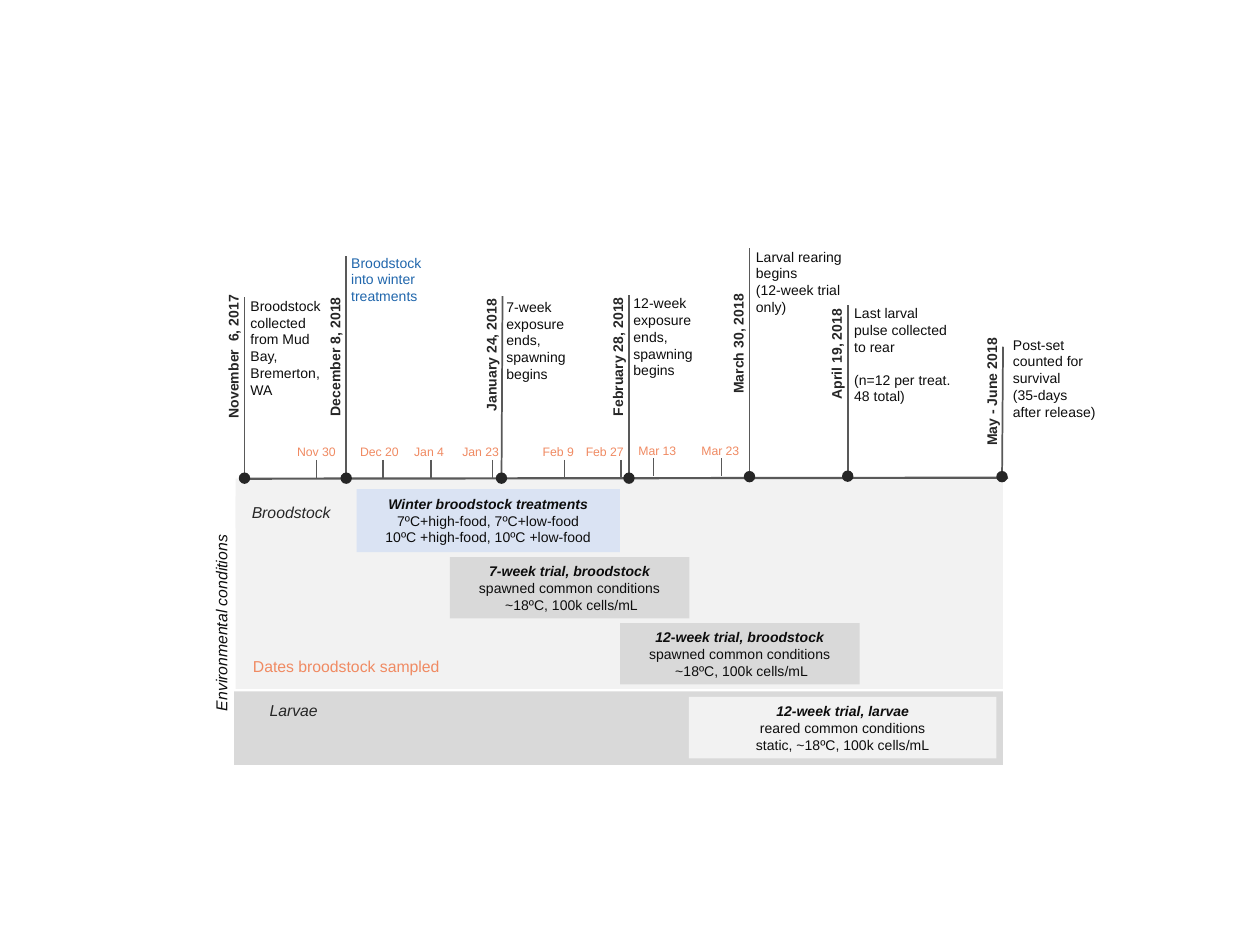
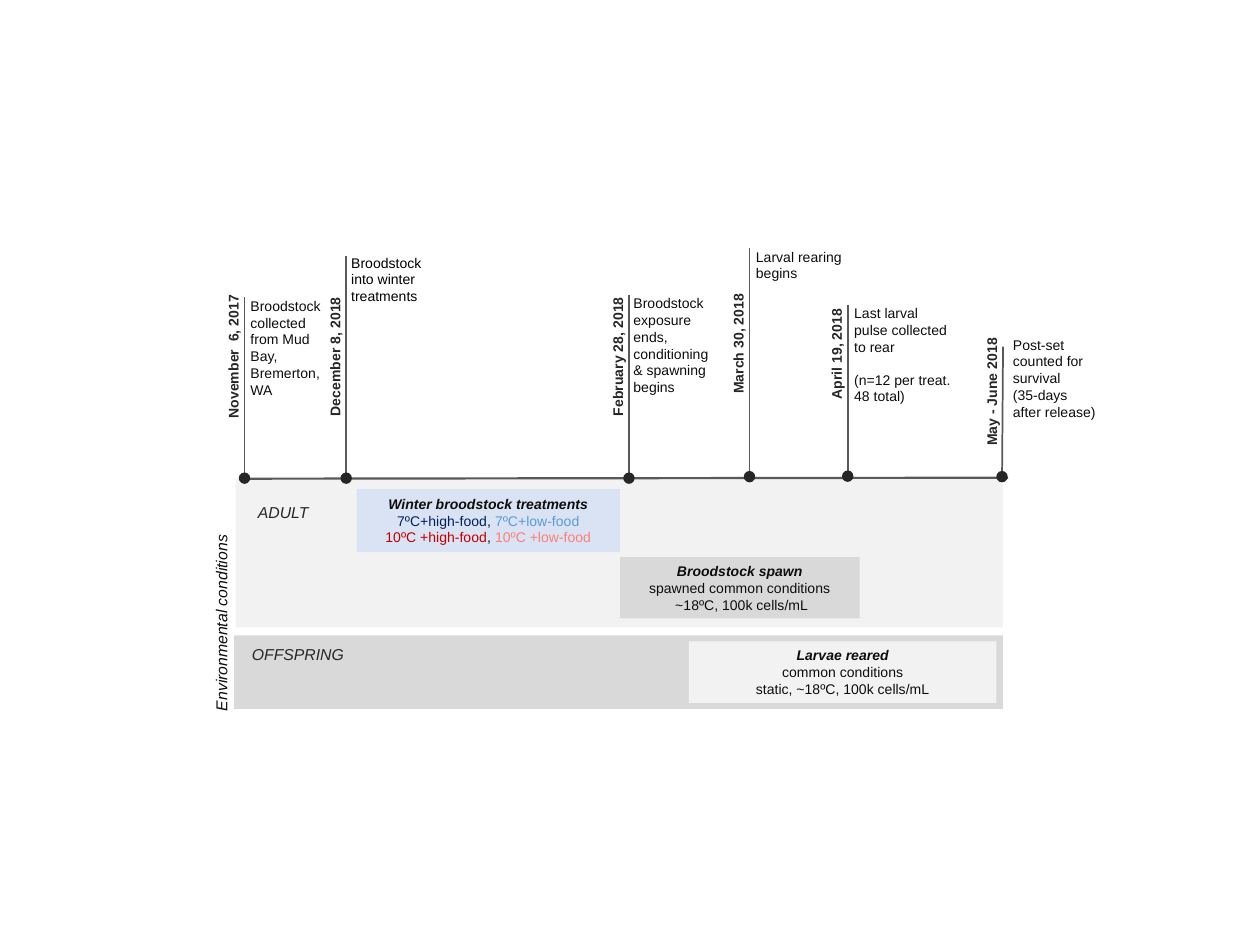
from dataclasses import dataclass, replace

from lxml.etree import SubElement
from pptx import Presentation
from pptx.dml.color import RGBColor
from pptx.enum.shapes import MSO_CONNECTOR as Connector, MSO_SHAPE as Preset
from pptx.enum.text import MSO_ANCHOR as Anchor, PP_ALIGN as Align
from pptx.oxml.ns import qn
from pptx.util import Cm, Pt

FONT = "Arial"
INK = "0D0D0D"
DARK = "262626"
LINE_GREY = "595959"
BLACK = "000000"
BLUE = "2066AC"
SALMON = "F08A62"
PALE_BLUE = "DAE3F3"
LIGHT_GREY = "F2F2F2"
MID_GREY = "D9D9D9"

AXIS_LEFT, AXIS_RIGHT = 4.83, 20.32
AXIS_START_Y, AXIS_END_Y = 9.65, 9.63
DOT_SIZE = 0.23
DATE_WIDTH, DATE_HEIGHT, DATE_OFFSET = 3.0, 0.61, 0.23
TICK_HEIGHT = 0.36
BOX_HEIGHT = 1.24


@dataclass(frozen=True)
class Place:
    left: float
    top: float
    width: float
    height: float


@dataclass(frozen=True)
class Line:
    text: str = ""
    runs: tuple[tuple[str, str], ...] = ()
    space_before: float = 0
    bold: bool = False
    italic: bool = False


@dataclass(frozen=True)
class Event:
    date: str
    stem_x: float
    stem_top: float
    date_y: float
    note_place: Place
    note: tuple[Line, ...]
    dot_y: float = 9.64
    lean: float = 0
    note_color: str = INK


@dataclass(frozen=True)
class Sample:
    date: str
    tick_x: float
    label_left: float
    label_top: float = 8.84


@dataclass(frozen=True)
class Stage:
    title: str
    details: tuple[Line, ...]
    place: Place
    fill: str


@dataclass(frozen=True)
class Band:
    label: str
    place: Place
    label_place: Place
    fill: str
    align: Align


@dataclass(frozen=True)
class Timeline:
    events: tuple[Event, ...]
    samples: tuple[Sample, ...]
    bands: tuple[Band, ...]
    stages: tuple[Stage, ...]


NOVEMBER = Event("November  6, 2017", 4.93, 5.99, 7.19, Place(4.8, 5.87, 2.06, 2.31),
                 (Line("Broodstock collected from Mud Bay, Bremerton, WA"),))
DECEMBER = Event("December 8, 2018", 6.98, 5.16, 7.19, Place(6.83, 5.0, 1.96, 1.27),
                 (Line("Broodstock into winter treatments"),), note_color=BLUE)
JANUARY = Event("January 24, 2018", 10.13, 5.97, 7.16, Place(9.96, 5.89, 2.21, 1.96),
                (Line("7-week exposure ends, spawning begins"),), lean=0.02)
FEBRUARY = Event("February 28, 2018", 12.68, 5.94, 7.19, Place(12.52, 5.82, 1.85, 1.96),
                 (Line("12-week exposure ends, spawning begins"),))
MARCH = Event("March 30, 2018", 15.11, 5.0, 6.93, Place(14.99, 4.88, 2.34, 1.63),
              (Line("Larval rearing begins"), Line("(12-week trial only)")), dot_y=9.61)
APRIL = Event("April 19, 2018", 17.09, 6.15, 7.14, Place(16.97, 6.02, 2.54, 2.31),
              (Line("Last larval pulse collected to rear"),
               Line("(n=12 per treat.", space_before=9.2), Line("48 total)")), dot_y=9.6)
MAY = Event("May - June 2018", 20.22, 6.99, 7.9, Place(20.17, 6.65, 2.24, 1.96),
            (Line("Post-set counted for survival"), Line("(35-days after release)")),
            dot_y=9.61, lean=0.02)

SAMPLES = (
    Sample("Nov 30", 6.38, 5.74),
    Sample("Dec 20", 7.72, 7.01),
    Sample("Jan 4", 8.69, 8.1),
    Sample("Jan 23", 9.93, 9.07),
    Sample("Feb 9", 11.38, 10.69),
    Sample("Feb 27", 12.52, 11.56),
    Sample("Mar 13", 13.18, 12.62, 8.81),
    Sample("Mar 23", 14.55, 13.89, 8.81),
)

TREATMENT_PLACE = Place(7.19, 9.86, 5.31, 1.27)
TREATMENTS = Stage("Winter broodstock treatments",
                   (Line("7ºC+high-food, 7ºC+low-food"),
                    Line("10ºC +high-food, 10ºC +low-food")),
                   TREATMENT_PLACE, PALE_BLUE)
COLORED_TREATMENTS = replace(TREATMENTS, details=(
    Line(runs=(("7ºC+high-food", "002060"), (", ", INK), ("7ºC+low-food", "5B9BD5"))),
    Line(runs=(("10ºC +high-food", "C00000"), (", ", INK), ("10ºC +low-food", "FF7E79"))),
))
SPAWNING = (Line("spawned common conditions"), Line(" ~18ºC, 100k cells/mL"))
STATIC = Line("static, ~18ºC, 100k cells/mL")


def spawning_stage(title: str, left: float, top: float) -> Stage:
    return Stage(title, SPAWNING, Place(left, top, 4.83, BOX_HEIGHT), MID_GREY)


def larvae_stage(title: str, conditions: str, top: float) -> Stage:
    return Stage(title, (Line(conditions), STATIC),
                 Place(13.89, top, 6.2, BOX_HEIGHT), LIGHT_GREY)


def adult_band(label: str, height: float, label_left: float, label_width: float,
               align: Align) -> Band:
    return Band(label, Place(4.75, 9.65, 15.47, height),
                Place(label_left, 10.01, label_width, 0.64), LIGHT_GREY, align)


def larvae_band(label: str, top: float, label_left: float, label_width: float,
                align: Align) -> Band:
    return Band(label, Place(4.72, top, 15.5, 1.48),
                Place(label_left, top + 0.06, label_width, 0.64), MID_GREY, align)


TWO_TRIALS = Timeline(
    (NOVEMBER, DECEMBER, JANUARY, FEBRUARY, MARCH, APRIL, MAY),
    SAMPLES,
    (larvae_band("Larvae", 13.94, 4.8, 2.24, Align.CENTER),
     adult_band("Broodstock", 4.24, 4.75, 2.24, Align.CENTER)),
    (TREATMENTS,
     spawning_stage("7-week trial, broodstock", 9.07, 11.23),
     spawning_stage("12-week trial, broodstock", 12.5, 12.56),
     larvae_stage("12-week trial, larvae", "reared common conditions", 14.05)),
)

ONE_TRIAL = Timeline(
    (NOVEMBER,
     replace(DECEMBER, note_color=BLACK),
     replace(FEBRUARY, note_place=Place(12.52, 5.82, 2.08, 2.31),
             note=(Line("Broodstock exposure ends, conditioning & spawning begins"),)),
     replace(MARCH, note=MARCH.note[:1]),
     APRIL, MAY),
    (),
    (larvae_band("OFFSPRING", 12.81, 4.83, 2.54, Align.LEFT),
     adult_band("ADULT", 3.0, 4.95, 2.08, Align.LEFT)),
    (COLORED_TREATMENTS,
     spawning_stage("Broodstock spawn", 12.5, 11.23),
     larvae_stage("Larvae reared", "common conditions", 12.93)),
)


def rgb(color: str) -> RGBColor:
    return RGBColor.from_string(color)


def write(shape, lines: tuple[Line, ...], size: float, color: str,
          align: Align = Align.LEFT, wrap: bool = True) -> None:
    frame = shape.text_frame
    frame.word_wrap = wrap
    for index, line in enumerate(lines):
        paragraph = frame.paragraphs[0] if index == 0 else frame.add_paragraph()
        paragraph.alignment = align
        paragraph.space_before = Pt(line.space_before)
        font = paragraph.font
        font.name, font.size = FONT, Pt(size)
        font.bold, font.italic = line.bold, line.italic
        font.color.rgb = rgb(color)
        for text, run_color in line.runs or ((line.text, color),):
            run = paragraph.add_run()
            run.text = text
            run.font.color.rgb = rgb(run_color)


def add_filled(slide, preset: Preset, place: Place, fill: str):
    shape = slide.shapes.add_shape(preset, Cm(place.left), Cm(place.top),
                                   Cm(place.width), Cm(place.height))
    shape.shadow.inherit = False
    shape.fill.solid()
    shape.fill.fore_color.rgb = rgb(fill)
    shape.line.fill.background()
    return shape


def add_text(slide, place: Place, lines: tuple[Line, ...], size: float, color: str) -> None:
    shape = slide.shapes.add_textbox(Cm(place.left), Cm(place.top),
                                     Cm(place.width), Cm(place.height))
    write(shape, lines, size, color)


def add_upright_text(slide, center_x: float, center_y: float, width: float, line: Line,
                     size: float, color: str) -> None:
    shape = slide.shapes.add_textbox(Cm(center_x - width / 2), Cm(center_y - DATE_HEIGHT / 2),
                                     Cm(width), Cm(DATE_HEIGHT))
    shape.rotation = 270
    shape.text_frame.vertical_anchor = Anchor.MIDDLE
    write(shape, (line,), size, color, Align.CENTER)


def add_line(slide, start_x: float, start_y: float, end_x: float, end_y: float,
             width: float) -> None:
    connector = slide.shapes.add_connector(Connector.STRAIGHT, Cm(start_x), Cm(start_y),
                                           Cm(end_x), Cm(end_y))
    connector.line.color.rgb = rgb(LINE_GREY)
    connector.line.width = Pt(width)
    SubElement(connector._element.spPr, qn("a:effectLst"))


def draw_band(slide, band: Band) -> None:
    add_filled(slide, Preset.RECTANGLE, band.place, band.fill)
    label = add_filled(slide, Preset.RECTANGLE, band.label_place, band.fill)
    write(label, (Line(band.label, italic=True),), 9, DARK, band.align)


def draw_event(slide, event: Event) -> None:
    foot_x = event.stem_x - event.lean
    add_line(slide, foot_x, event.dot_y, event.stem_x, event.stem_top, 1)
    dot = Place(foot_x - DOT_SIZE / 2, event.dot_y - DOT_SIZE / 2, DOT_SIZE, DOT_SIZE)
    add_filled(slide, Preset.OVAL, dot, DARK)
    add_upright_text(slide, event.stem_x - DATE_OFFSET, event.date_y, DATE_WIDTH,
                     Line(event.date, bold=True), 8, DARK)
    add_text(slide, event.note_place, event.note, 8, event.note_color)


def draw_sample(slide, sample: Sample) -> None:
    tick_top = sample.label_top + 0.43
    add_line(slide, sample.tick_x, tick_top, sample.tick_x, tick_top + TICK_HEIGHT, 0.75)
    add_text(slide, Place(sample.label_left, sample.label_top, 1.4, 0.56),
             (Line(sample.date),), 7, SALMON)


def draw_stage(slide, stage: Stage) -> None:
    box = add_filled(slide, Preset.RECTANGLE, stage.place, stage.fill)
    title = Line(stage.title, bold=True, italic=True)
    write(box, (title, *stage.details), 8, INK, Align.CENTER)


def draw_timeline(slide, timeline: Timeline) -> None:
    for band in timeline.bands:
        draw_band(slide, band)
    add_line(slide, AXIS_LEFT, AXIS_START_Y, AXIS_RIGHT, AXIS_END_Y, 1.25)
    for sample in timeline.samples:
        draw_sample(slide, sample)
    if timeline.samples:
        add_text(slide, Place(4.85, 13.11, 4.98, 0.64),
                 (Line("Dates broodstock sampled"),), 9, SALMON)
    for event in timeline.events:
        draw_event(slide, event)
    for stage in timeline.stages:
        draw_stage(slide, stage)
    add_upright_text(slide, 4.46, 12.56, 6.02,
                     Line("Environmental conditions", italic=True), 9, INK)


def main() -> None:
    presentation = Presentation()
    presentation.slide_width, presentation.slide_height = Cm(25.4), Cm(19.05)
    for timeline in (TWO_TRIALS, ONE_TRIAL):
        draw_timeline(presentation.slides.add_slide(presentation.slide_layouts[6]), timeline)
    presentation.save("out.pptx")


if __name__ == "__main__":
    main()
